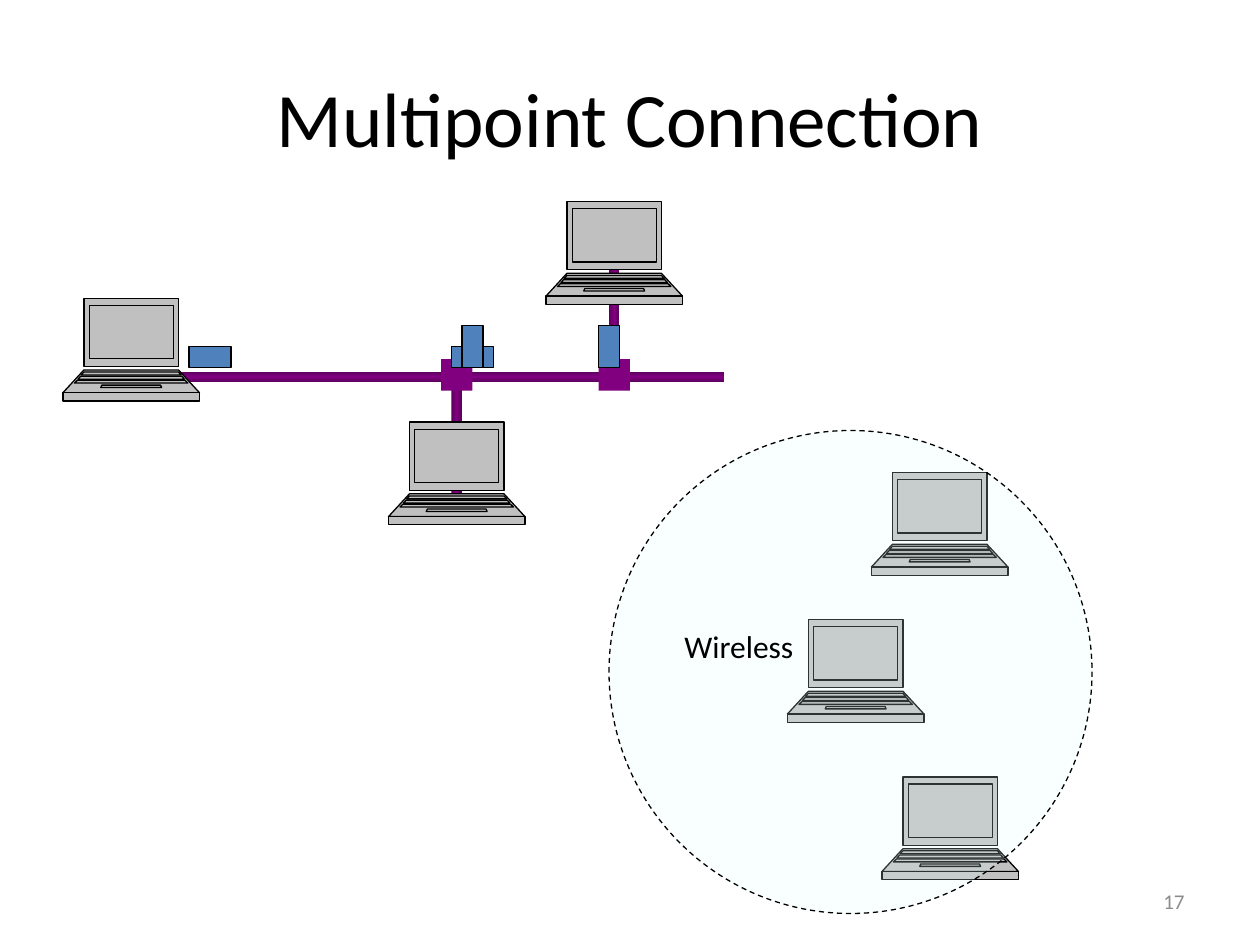
import copy
import typing
import lxml.etree
import pptx
import pptx.dml.color
import pptx.enum.dml
import pptx.enum.shapes
import pptx.enum.text
import pptx.oxml.ns
import pptx.util

Pt = pptx.util.Pt
qn = pptx.oxml.ns.qn
Kind = pptx.enum.shapes.MSO_SHAPE
Align = pptx.enum.text.PP_ALIGN
Anchor = pptx.enum.text.MSO_ANCHOR
Fit = pptx.enum.text.MSO_AUTO_SIZE

HUES = {
    "black": "000000",
    "grey": "8C8C8C",
    "case": "C0C0C0",
    "cable": "800080",
    "edge": "5C005C",
    "packet": "4F81BD",
    "air": "E5FFFF",
}
WIDE = 78


class Box(typing.NamedTuple):
    left: float
    top: float
    width: float
    height: float
    turn: float = 0


class Band(typing.NamedTuple):
    top: float
    bottom: float
    upper: float
    lower: float


class Spot(typing.NamedTuple):
    left: float
    top: float


class Label(typing.NamedTuple):
    text: str
    box: Box
    size: float
    hue: str
    align: Align
    frame: dict


BANDS = [
    Band(0, 39, 12, 12),
    Band(41, 54, 12, 0),
    Band(54, 58.7, 0, 0),
    Band(4.1, 34.6, 15, 15),
    Band(42.2, 43.9, 12, 10.4),
    Band(49.7, 51.1, 22.2, 21.6),
    Band(44.6, 46.3, 10.1, 8.6),
    Band(46.9, 48.5, 8.3, 6.6),
]
BARS = [
    Box(72, 212.4, 342, 6),
    Box(258, 217.2, 6, 66),
    Box(348, 145.2, 6, 66),
]
NODES = [Box(left, 205.2, 18, 18) for left in (252, 342)]
LAPTOPS = [
    Spot(36, 170.4),
    Spot(222, 241.2),
    Spot(312, 115.2),
    Spot(450, 354),
    Spot(498, 270),
    Spot(504, 444),
]
RANGE = Box(348, 246, 276, 276)
PACKETS = [
    Box(114, 192, 12, 24, 90),
    Box(264, 192, 12, 24, 90),
    Box(264, 186, 12, 24),
    Box(342, 186, 12, 24),
]
MIDDLE = {"word_wrap": True, "vertical_anchor": Anchor.MIDDLE}
LOOSE = {"word_wrap": False, "auto_size": Fit.SHAPE_TO_FIT_TEXT}
LABELS = [
    Label("17", Box(516, 500.5, 168, 28.75), 12, "grey", Align.RIGHT, MIDDLE),
    Label("Multipoint Connection", Box(36, 21.6, 648, 90), 44, "black", Align.CENTER, MIDDLE),
    Label("Wireless", Box(384, 355, 80.6, 29), 18, "black", Align.LEFT, LOOSE),
]


def paint(hue: str) -> pptx.dml.color.RGBColor:
    return pptx.dml.color.RGBColor.from_string(HUES[hue])


def apply(target: typing.Any, values: dict) -> None:
    for name, value in values.items():
        setattr(target, name, value)


def style(shape: typing.Any, hue: str, lined: bool) -> None:
    shape.shadow.inherit = False
    shape.fill.solid()
    shape.fill.fore_color.rgb = paint(hue)
    if lined:
        shape.line.color.rgb = paint("black")
        shape.line.width = Pt(0.75)
    else:
        shape.line.fill.background()


def draw_shape(shapes: typing.Any, kind: Kind, box: Box, hue: str, lined: bool = True) -> typing.Any:
    shape = shapes.add_shape(kind, *map(Pt, box[:4]))
    shape.rotation = box.turn
    style(shape, hue, lined)
    return shape


def draw_bar(shapes: typing.Any, box: Box) -> None:
    bar = draw_shape(shapes, Kind.RECTANGLE, box, "cable", False)
    bar.fill.gradient()
    bar.fill.gradient_angle = 270 if box.width > box.height else 0
    for stop in bar.fill.gradient_stops:
        stop.color.rgb = paint("edge")
    stops = bar._element.spPr.find(".//" + qn("a:gsLst"))
    stops.insert(1, copy.deepcopy(stops[0]))
    core = bar.fill.gradient_stops[1]
    core.position = 0.5
    core.color.rgb = paint("cable")


def draw_laptop(shapes: typing.Any, spot: Spot) -> None:
    rings = []
    for band in BANDS:
        ring = [
            (band.upper, band.top),
            (WIDE - band.upper, band.top),
            (WIDE - band.lower, band.bottom),
            (band.lower, band.bottom),
        ]
        rings.append([(Pt(spot.left + x), Pt(spot.top + y)) for x, y in ring])
    pen = shapes.build_freeform(*rings[0][0], scale=1.0)
    for ring in rings:
        if ring is not rings[0]:
            pen.move_to(*ring[0])
        pen.add_line_segments(ring[1:], close=True)
    laptop = pen.convert_to_shape()
    style(laptop, "case", True)
    split_paths(laptop)


def split_paths(shape: typing.Any) -> None:
    whole = shape._element.spPr.find(".//" + qn("a:path"))
    holder = whole.getparent()
    for step in list(whole):
        if step.tag == qn("a:moveTo"):
            part = lxml.etree.SubElement(holder, qn("a:path"), dict(whole.attrib))
        part.append(step)
    holder.remove(whole)


def draw_range(shapes: typing.Any, box: Box) -> None:
    ring = draw_shape(shapes, Kind.OVAL, box, "air")
    ring.line.dash_style = pptx.enum.dml.MSO_LINE.DASH
    tint = ring._element.spPr.find(qn("a:solidFill"))[0]
    lxml.etree.SubElement(tint, qn("a:alpha"), val="20000")


def draw_label(shapes: typing.Any, label: Label) -> None:
    frame = shapes.add_textbox(*map(Pt, label.box[:4])).text_frame
    apply(frame, label.frame)
    line = frame.paragraphs[0]
    line.text = label.text
    line.alignment = label.align
    apply(line.font, {"name": "Calibri", "size": Pt(label.size)})
    line.font.color.rgb = paint(label.hue)


def main() -> None:
    deck = pptx.Presentation()
    apply(deck, {"slide_width": Pt(720), "slide_height": Pt(540)})
    shapes = deck.slides.add_slide(deck.slide_layouts[6]).shapes
    for bar in BARS:
        draw_bar(shapes, bar)
    for node in NODES:
        draw_shape(shapes, Kind.RECTANGLE, node, "cable", False)
    for spot in LAPTOPS:
        draw_laptop(shapes, spot)
    draw_range(shapes, RANGE)
    for label in LABELS:
        draw_label(shapes, label)
    for packet in PACKETS:
        draw_shape(shapes, Kind.RECTANGLE, packet, "packet")
    deck.save("out.pptx")


if __name__ == "__main__":
    main()
